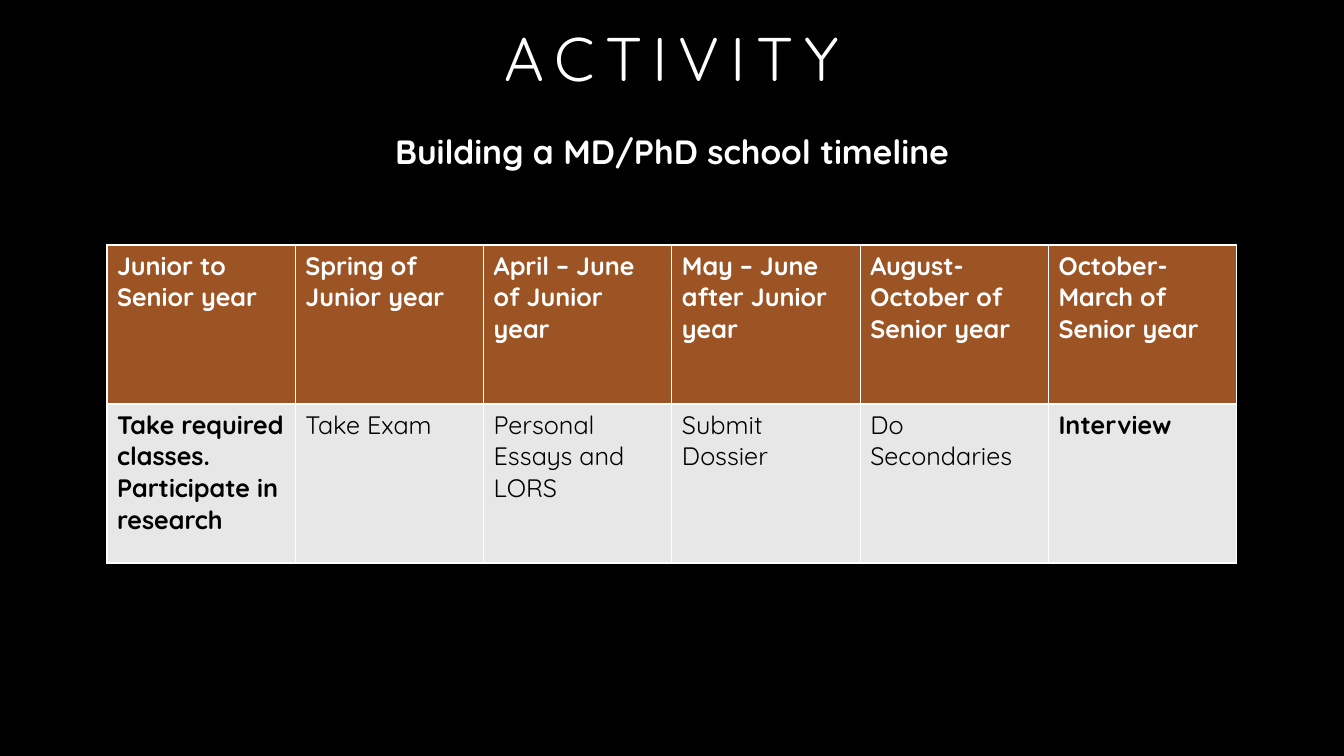
"""Builds a slide with a timeline table for MD/PhD school applications."""
from lxml import etree
from pptx import Presentation
from pptx.dml.color import RGBColor
from pptx.enum.text import MSO_ANCHOR, PP_ALIGN
from pptx.oxml.ns import qn
from pptx.util import Pt

CENTER, LEFT = PP_ALIGN.CENTER, PP_ALIGN.LEFT
TOP, MIDDLE = MSO_ANCHOR.TOP, MSO_ANCHOR.MIDDLE
EMU_PER_PX = 914400 / 100.8
FONT = "Quicksand"
COLORS = {"black": "000000", "white": "FFFFFF", "rust": "9D5425", "gray": "E7E7E7"}
TIMELINE = [
    ("Junior to Senior year", "Take required classes. Participate in research"),
    ("Spring of Junior year", "Take Exam"),
    ("April – June of Junior year", "Personal Essays and LORS"),
    ("May – June after Junior year", "Submit Dossier"),
    ("August-October of Senior year", "Do Secondaries"),
    ("October-March of Senior year", "Interview"),
]


def px(length):
    return round(length * EMU_PER_PX)


def rgb(name):
    return RGBColor.from_string(COLORS[name])


def write(frame, text, size=18, color="white", bold=False, align=LEFT,
          line_spacing=None, tracking=None):
    paragraph = frame.paragraphs[0]
    paragraph.alignment = align
    if line_spacing:
        paragraph.line_spacing = line_spacing
    run = paragraph.add_run()
    run.text = text
    run.font.name = FONT
    run.font.size = Pt(size)
    run.font.bold = bold
    run.font.color.rgb = rgb(color)
    if tracking:
        run._r.get_or_add_rPr().set("spc", str(round(tracking * 100)))


class TimelineSlide:
    def __init__(self, deck):
        self.slide = deck.slides.add_slide(deck.slide_layouts[6])
        background = self.slide.background.fill
        background.solid()
        background.fore_color.rgb = rgb("black")

    def text(self, box, text, anchor=TOP, inset=None, **style):
        frame = self.slide.shapes.add_textbox(*map(px, box)).text_frame
        frame.word_wrap = True
        frame.vertical_anchor = anchor
        if inset is not None:
            frame.margin_left = frame.margin_right = px(inset)
            frame.margin_top = frame.margin_bottom = px(inset)
        write(frame, text, **style)

    def cell(self, cell, text, fill, **style):
        properties = cell._tc.get_or_add_tcPr()
        for side in ("lnL", "lnR", "lnT", "lnB"):
            border = etree.SubElement(properties, qn(f"a:{side}"), w=str(Pt(1)))
            paint = etree.SubElement(border, qn("a:solidFill"))
            etree.SubElement(paint, qn("a:srgbClr"), val=COLORS["white"])
        cell.fill.solid()
        cell.fill.fore_color.rgb = rgb(fill)
        write(cell.text_frame, text, **style)

    def timeline(self, box, stages):
        table = self.slide.shapes.add_table(2, len(stages), *map(px, box)).table
        table.first_row = table.horz_banding = False
        last = len(stages) - 1
        for column, (period, task) in enumerate(stages):
            self.cell(table.cell(0, column), period, "rust", bold=True)
            self.cell(table.cell(1, column), task, "gray", color="black",
                      bold=column in (0, last))


def main():
    deck = Presentation()
    deck.slide_width, deck.slide_height = px(1344), px(756)
    activity = TimelineSlide(deck)
    activity.text((168, 11, 1008, 92), "ACTIVITY", anchor=MIDDLE, inset=0,
                  size=44, align=CENTER, tracking=7.5)
    activity.text((107, 86, 1130, 80), "Building a MD/PhD school timeline",
                  size=24, bold=True, align=CENTER, line_spacing=2.0)
    activity.timeline((107, 245, 1130, 318), TIMELINE)
    deck.save("out.pptx")


if __name__ == "__main__":
    main()
